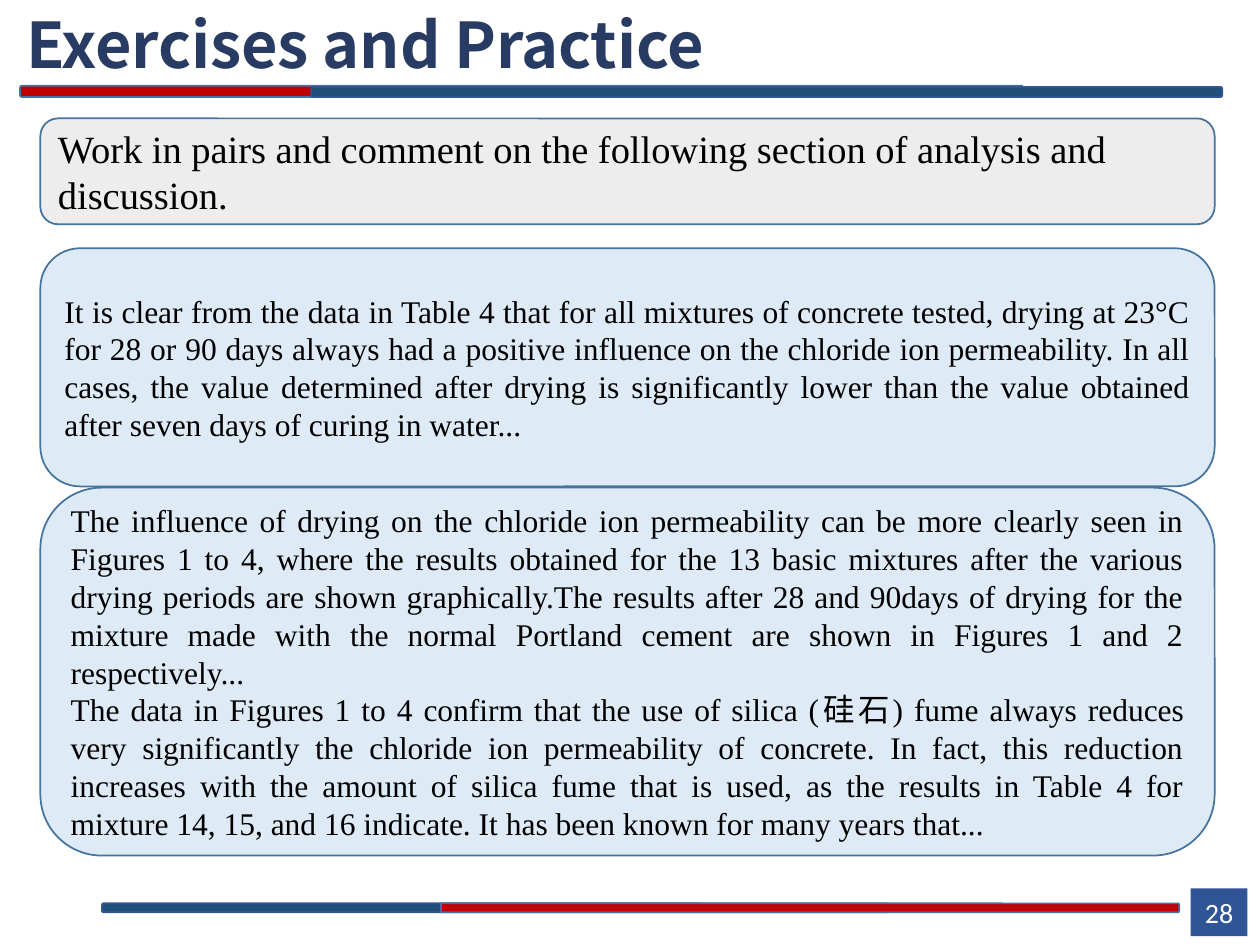
from pptx import Presentation
from pptx.dml.color import RGBColor
from pptx.enum.shapes import MSO_SHAPE as Shape
from pptx.enum.text import MSO_ANCHOR as Anchor, MSO_AUTO_SIZE as AutoSize, PP_ALIGN as Align
from pptx.util import Inches, Pt

COLORS = {
    "navy": "283B63",
    "blue": "1F4E79",
    "blue edge": "325491",
    "red": "C00000",
    "edge": "43739E",
    "grey": "EDEDED",
    "pale": "DEEBF7",
    "badge": "2F5597",
    "black": "000000",
    "white": "FFFFFF",
}
SERIF = "Times New Roman"
LEFT, WIDTH = 0.32, 9.32

TASK = "Work in pairs and comment on the following section of analysis and discussion."
DRYING = (
    "It is clear from the data in Table 4 that for all mixtures of concrete tested, "
    "drying at 23°C for 28 or 90 days always had a positive influence on the chloride "
    "ion permeability. In all cases, the value determined after drying is significantly "
    "lower than the value obtained after seven days of curing in water..."
)
INFLUENCE = (
    "The influence of drying on the chloride ion permeability can be more clearly seen "
    "in Figures 1 to 4, where the results obtained for the 13 basic mixtures after the "
    "various drying periods are shown graphically.The results after 28 and 90days of "
    "drying for the mixture made with the normal Portland cement are shown in Figures 1 "
    "and 2 respectively..."
)
SILICA = (
    "The data in Figures 1 to 4 confirm that the use of silica (硅石) fume always reduces "
    "very significantly the chloride ion permeability of concrete. In fact, this reduction "
    "increases with the amount of silica fume that is used, as the results in Table 4 for "
    "mixture 14, 15, and 16 indicate. It has been known for many years that..."
)


class SlideBuilder:
    def __init__(self, page):
        self.page = page

    def color(self, name):
        return RGBColor.from_string(COLORS[name])

    def add_text(self, frame, texts, size, font, color, align):
        frame.word_wrap = True
        for index, text in enumerate(texts):
            para = frame.paragraphs[0] if index == 0 else frame.add_paragraph()
            para.alignment = align
            span = para.add_run()
            span.text = text
            span.font.size = Pt(size)
            span.font.name = font
            span.font.color.rgb = self.color(color)

    def shape(self, shapes, kind, bounds, fill, edge=None):
        box = shapes.add_shape(kind, *map(Inches, bounds))
        box.shadow.inherit = False
        box.fill.solid()
        box.fill.fore_color.rgb = self.color(fill)
        if edge:
            box.line.color.rgb = self.color(edge)
            box.line.width = Pt(1)
        else:
            box.line.fill.background()
        return box

    def panel(self, top, height, fill, texts, size, align):
        bounds = (LEFT, top, WIDTH, height)
        box = self.shape(self.page.shapes, Shape.ROUNDED_RECTANGLE, bounds, fill, "edge")
        box.text_frame.vertical_anchor = Anchor.MIDDLE
        self.add_text(box.text_frame, texts, size, SERIF, "black", align)

    def rule(self, *bars):
        group = self.page.shapes.add_group_shape()
        for bounds, fill, edge in bars:
            self.shape(group.shapes, Shape.ROUNDED_RECTANGLE, bounds, fill, edge)

    def badge(self, bounds, text):
        box = self.shape(self.page.shapes, Shape.RECTANGLE, bounds, "badge")
        box.text_frame.vertical_anchor = Anchor.MIDDLE
        self.add_text(box.text_frame, [text], 16, "Calibri", "white", Align.CENTER)

    def title(self, bounds, text):
        box = self.page.shapes.add_textbox(*map(Inches, bounds))
        frame = box.text_frame
        frame.margin_left = frame.margin_right = frame.margin_bottom = 0
        frame.margin_top = Inches(0.01)
        self.add_text(frame, [text], 36, "Noto Sans CJK SC", "navy", Align.LEFT)
        frame.auto_size = AutoSize.SHAPE_TO_FIT_TEXT
        font = frame.paragraphs[0].runs[0].font
        font.bold = True
        font._element.set("spc", "-10")


def main():
    deck = Presentation()
    deck.slide_width, deck.slide_height = Inches(10), Inches(7.5)
    builder = SlideBuilder(deck.slides.add_slide(deck.slide_layouts[6]))

    builder.panel(1.97, 1.89, "pale", [DRYING], 18, Align.JUSTIFY)
    builder.badge((9.45, 7.05, 0.45, 0.38), "28")
    builder.rule(
        ((0.16, 0.68, 7.96, 0.09), "red", "edge"),
        ((2.47, 0.69, 7.23, 0.08), "blue", "blue edge"),
    )
    builder.rule(
        ((0.81, 7.17, 6.25, 0.07), "blue", "blue edge"),
        ((3.5, 7.17, 5.86, 0.07), "red", "edge"),
    )
    builder.title((0.21, 0.03, 6.57, 0.62), "Exercises and Practice")
    builder.panel(0.94, 0.84, "grey", [TASK], 22, Align.LEFT)
    builder.panel(3.87, 2.92, "pale", [INFLUENCE, SILICA], 18, Align.JUSTIFY)

    deck.save("out.pptx")


if __name__ == "__main__":
    main()
